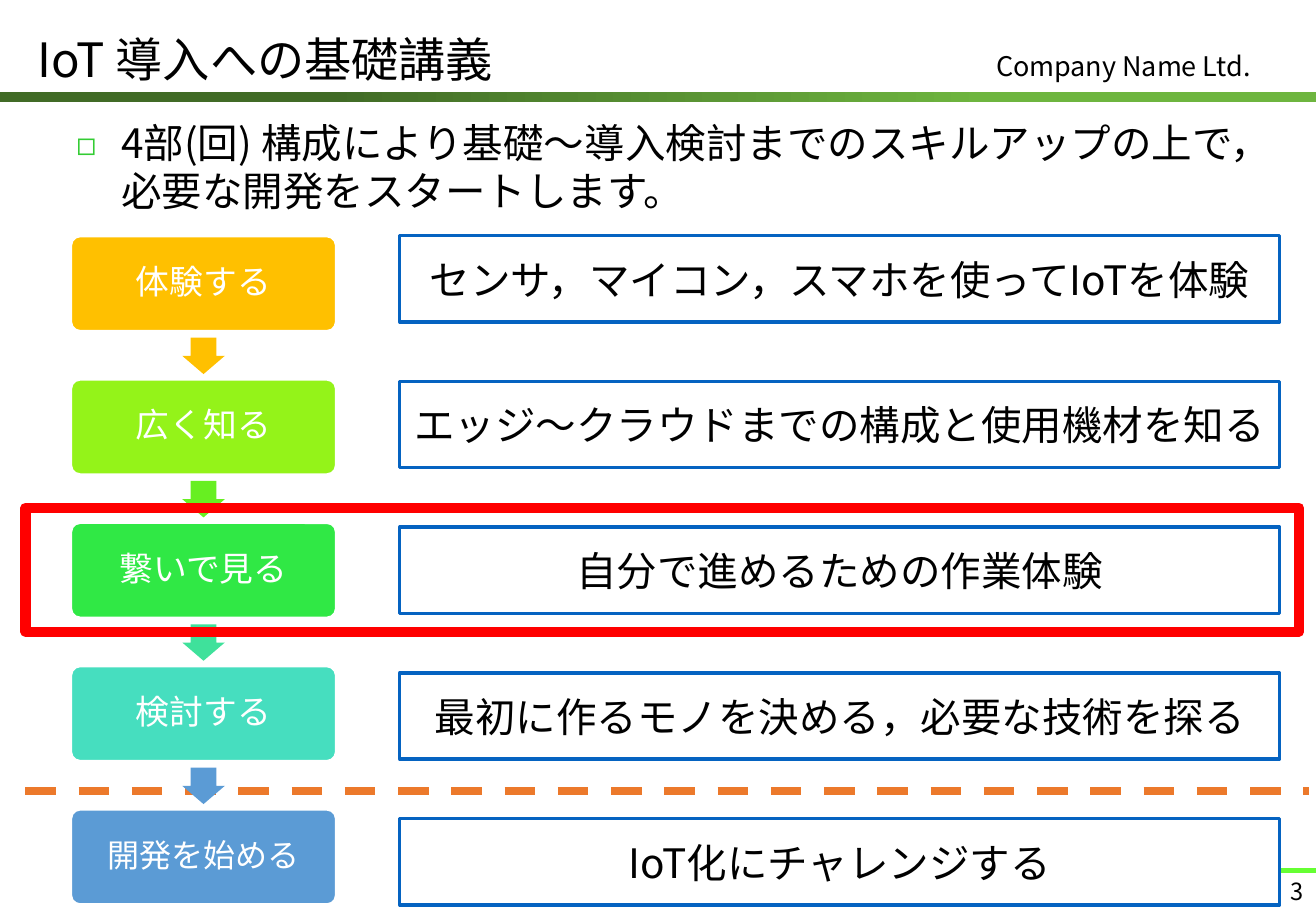
from lxml.etree import SubElement
from pptx import Presentation
from pptx.dml.color import RGBColor
from pptx.enum.dml import MSO_LINE
from pptx.enum.shapes import MSO_CONNECTOR, MSO_SHAPE
from pptx.enum.text import MSO_ANCHOR, PP_ALIGN
from pptx.oxml.ns import qn
from pptx.util import Inches, Pt

TITLE = "IoT 導入への基礎講義"
COMPANY = "Company Name Ltd."
LEAD = "4部(回) 構成により基礎～導入検討までのスキルアップの上で，必要な開発をスタートします。"
PAGE_NUMBER = "3"

# step label, label size, step colour, colour of the arrow below, description
STEPS = [
    ("体験する", 20, "FFC000", "FFC000", "センサ，マイコン，スマホを使ってIoTを体験"),
    ("広く知る", 20, "94F319", "67EF21", "エッジ～クラウドまでの構成と使用機材を知る"),
    ("繋いで見る", 20, "30E845", "3FE19B", "自分で進めるための作業体験"),
    ("検討する", 20, "46DEBF", "5B9BD5", "最初に作るモノを決める，必要な技術を探る"),
    ("開発を始める", 19, "5B9BD5", None, "IoT化にチャレンジする"),
]

FONT = "Noto Sans CJK JP"
COLORS = {
    "text": "000000", "white": "FFFFFF", "band_dark": "416B26", "band_light": "6EB53F",
    "footer": "66FF33", "divider": "EC792B", "bullet": "33CC33",
    "box": "0563C1", "highlight": "FF0000",
}

STEP_LEFT, STEP_TOP, STEP_WIDTH, STEP_HEIGHT, STEP_PITCH = 0.58, 1.94, 2.19, 0.79, 1.18
ARROW_WIDTH, ARROW_HEIGHT, ARROW_GAP = 0.35, 0.3, 0.05
BOX_LEFT, BOX_WIDTH, BOX_HEIGHT, BOX_PITCH = 3.29, 7.24, 0.71, 1.2

presentation = Presentation()
presentation.slide_width = Inches(10.83)
presentation.slide_height = Inches(7.5)
slide = presentation.slides.add_slide(presentation.slide_layouts[6])


def rgb(color):
    return RGBColor.from_string(color)


def write(shape, text, size, color=COLORS["text"], align=PP_ALIGN.LEFT, anchor=MSO_ANCHOR.TOP):
    frame = shape.text_frame
    frame.word_wrap = True
    frame.vertical_anchor = anchor
    paragraph = frame.paragraphs[0]
    paragraph.alignment = align
    run = paragraph.add_run()
    run.text = text
    run.font.size = Pt(size)
    run.font.name = FONT
    run.font.color.rgb = rgb(color)
    SubElement(run.font._element, qn("a:ea"), typeface=FONT)
    return paragraph


def add_text(left, top, width, height, text, size, **style):
    textbox = slide.shapes.add_textbox(Inches(left), Inches(top), Inches(width), Inches(height))
    return write(textbox, text, size, **style)


def add_shape(kind, left, top, width, height, fill=None, line=None, line_width=2):
    shape = slide.shapes.add_shape(kind, Inches(left), Inches(top), Inches(width), Inches(height))
    shape.shadow.inherit = False
    if fill:
        shape.fill.solid()
        shape.fill.fore_color.rgb = rgb(fill)
    else:
        shape.fill.background()
    if line:
        shape.line.color.rgb = rgb(line)
        shape.line.width = Pt(line_width)
    else:
        shape.line.fill.background()
    return shape


def add_line(left, right, y, color, width):
    line = slide.shapes.add_connector(
        MSO_CONNECTOR.STRAIGHT, Inches(left), Inches(y), Inches(right), Inches(y))
    line.line.color.rgb = rgb(color)
    line.line.width = Pt(width)
    SubElement(line._element.spPr, qn("a:effectLst"))
    return line


def add_bullet(paragraph, symbol, color, percent, indent):
    properties = paragraph._p.get_or_add_pPr()
    properties.set("marL", str(Inches(indent)))
    properties.set("indent", str(-Inches(indent)))
    bullet_color = SubElement(properties, qn("a:buClr"))
    SubElement(bullet_color, qn("a:srgbClr"), val=color)
    SubElement(properties, qn("a:buSzPct"), val=str(percent * 1000))
    SubElement(properties, qn("a:buFont"), typeface=FONT)
    SubElement(properties, qn("a:buChar"), char=symbol)


# Header and footer
band = add_shape(MSO_SHAPE.RECTANGLE, 0, 0.76, 10.83, 0.08)
band.fill.gradient()
band.fill.gradient_angle = 0
band_stops = [(0.25, COLORS["band_dark"]), (0.75, COLORS["band_light"])]
for stop, (position, color) in zip(band.fill.gradient_stops, band_stops):
    stop.position = position
    stop.color.rgb = rgb(color)

add_line(9.93, 10.83, 7.17, COLORS["footer"], 3)
add_text(8.1, 0.36, 2.73, 0.37, COMPANY, 16)
add_line(0.21, 10.77, 6.51, COLORS["divider"], 4.5).line.dash_style = MSO_LINE.DASH
add_text(0.21, 0.21, 7.51, 0.55, TITLE, 28, anchor=MSO_ANCHOR.MIDDLE)
add_text(9.98, 7.17, 0.85, 0.28, PAGE_NUMBER, 14, align=PP_ALIGN.RIGHT)

lead = add_text(0.53, 0.92, 10, 0.87, LEAD, 24)
lead.space_before = Pt(4.8)
add_bullet(lead, "◻", COLORS["bullet"], 80, 0.37)

# Steps with their descriptions
for index, (label, size, color, arrow_color, description) in enumerate(STEPS):
    top = STEP_TOP + index * STEP_PITCH
    step = add_shape(MSO_SHAPE.ROUNDED_RECTANGLE, STEP_LEFT, top, STEP_WIDTH, STEP_HEIGHT,
                     color, COLORS["white"])
    step.adjustments[0] = 0.1
    write(step, label, size, COLORS["white"], PP_ALIGN.CENTER,
          MSO_ANCHOR.MIDDLE).line_spacing = 0.9

    if arrow_color:
        arrow = add_shape(MSO_SHAPE.DOWN_ARROW, STEP_LEFT + (STEP_WIDTH - ARROW_WIDTH) / 2,
                          top + STEP_HEIGHT + ARROW_GAP, ARROW_WIDTH, ARROW_HEIGHT, arrow_color)
        arrow.adjustments[0] = 0.6
        arrow.adjustments[1] = 0.5

    box = add_shape(MSO_SHAPE.RECTANGLE, BOX_LEFT, STEP_TOP + index * BOX_PITCH,
                    BOX_WIDTH, BOX_HEIGHT, COLORS["white"], COLORS["box"])
    write(box, description, 24, align=PP_ALIGN.CENTER,
          anchor=MSO_ANCHOR.MIDDLE).space_before = Pt(4.8)

add_shape(MSO_SHAPE.RECTANGLE, 0.21, 4.18, 10.48, 1.02, line=COLORS["highlight"], line_width=6)

presentation.save("out.pptx")
